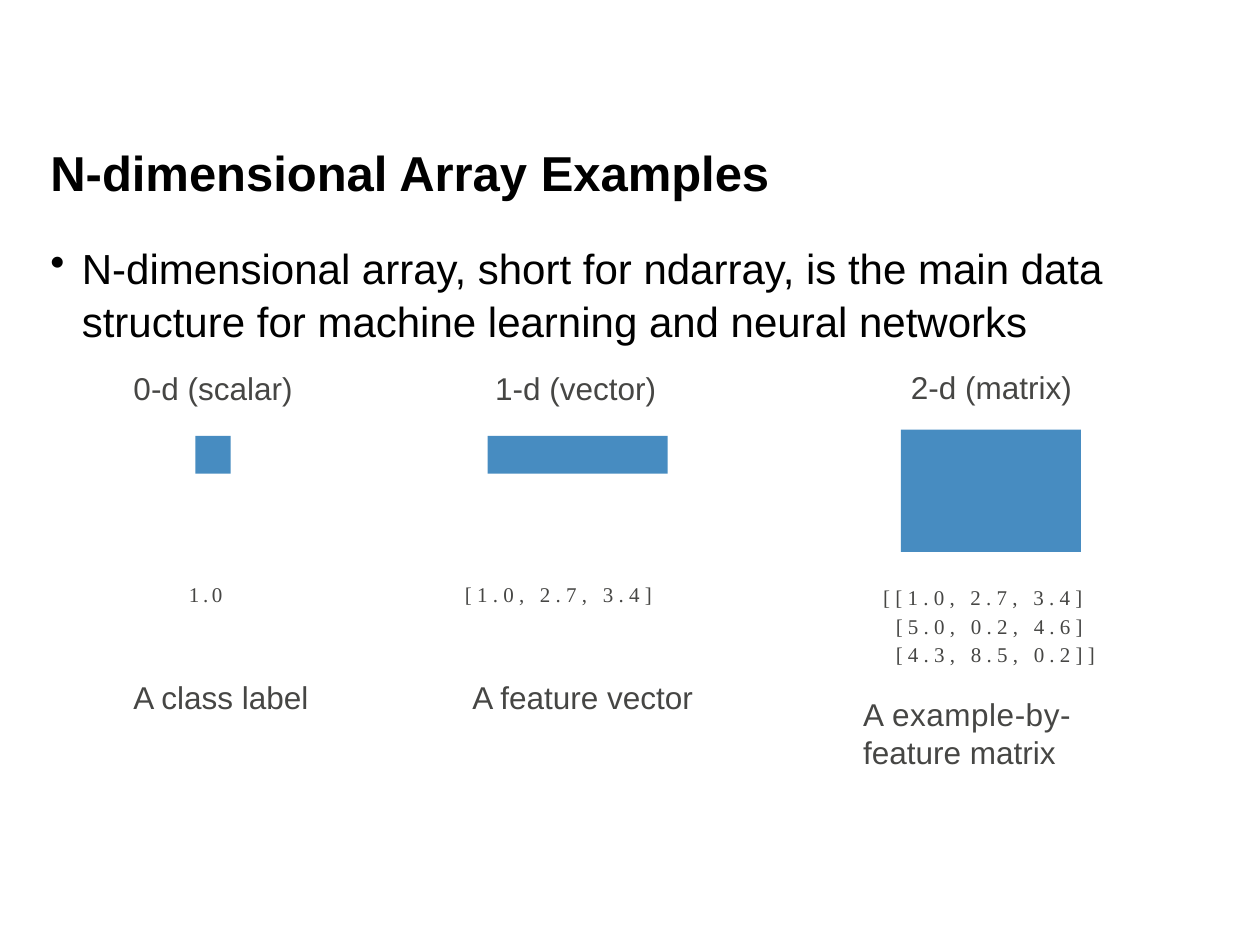
from pptx import Presentation
from pptx.dml.color import RGBColor
from pptx.enum.shapes import MSO_SHAPE
from pptx.enum.text import MSO_ANCHOR, MSO_AUTO_SIZE, PP_ALIGN
from pptx.oxml.xmlchemy import OxmlElement
from pptx.util import Inches, Pt

COLORS = {"title": "000000", "label": "464644", "block": "478CC1"}
TITLE = "N-dimensional Array Examples"
BULLET = ("N-dimensional array, short for ndarray, is the main data "
          "structure for machine learning and neural networks")
STYLES = {
    "title": dict(font=dict(name="Arial", size=Pt(28), bold=True), color="title", spacing=1.06),
    "bullet": dict(font=dict(name="Arial", size=Pt(24)), color="title", spacing=1.06),
    "label": dict(font=dict(name="Arial", size=Pt(18)), color="label", spacing=1.06),
    "caption": dict(font=dict(name="Arial", size=Pt(18)), color="label", spacing=1.0),
    "code": dict(font=dict(name="Times New Roman", size=Pt(12)), color="label", spacing=1.14),
}
EXAMPLES = [
    {"block": (1.55, 3.46, 0.28, 0.3),
     "texts": [("label", 1.06, 2.91, [("0-d (scalar)", 0)]),
               ("code", 1.5, 4.59, [("1.0", 2.1)]),
               ("caption", 1.06, 5.38, [("A class label", 0)])]},
    {"block": (3.87, 3.46, 1.43, 0.3),
     "texts": [("label", 3.93, 2.91, [("1-d (vector)", 0)]),
               ("code", 3.69, 4.59, [("[1.0, 2.7, 3.4]", 3)]),
               ("caption", 3.75, 5.38, [("A feature vector", 0)])]},
    {"block": (7.15, 3.41, 1.43, 0.97),
     "texts": [("label", 7.23, 2.9, [("2-d (matrix)", 0)]),
               ("code", 7.01, 4.61, [("[[1.0, 2.7, 3.4]", 3), ("[5.0, 0.2, 4.6]", 3),
                                     ("[4.3, 8.5, 0.2]]", 3)]),
               ("caption", 6.85, 5.52, [("A example-by-", 0.3), ("feature matrix", 0)])]},
]
HANGING = {"code": 0.1, "bullet": 0.25}


def write(shape, style, lines):
    """Fill a text shape with lines of (text, letter spacing) in a named style."""
    tf = shape.text_frame
    frame = dict(word_wrap=True, auto_size=MSO_AUTO_SIZE.NONE, vertical_anchor=MSO_ANCHOR.TOP,
                 margin_left=0, margin_right=0, margin_top=0, margin_bottom=0)
    for key, value in frame.items():
        setattr(tf, key, value)
    p = tf.paragraphs[0]
    p.alignment = PP_ALIGN.LEFT
    p.line_spacing = STYLES[style]["spacing"]
    pPr = p._p.get_or_add_pPr()
    if style in HANGING:
        pPr.set("marL", str(Inches(HANGING[style])))
        pPr.set("indent", str(-Inches(HANGING[style])))
    if style == "bullet":
        bullet = OxmlElement("a:buChar")
        bullet.set("char", "•")
        pPr.append(bullet)
    for i, (text, spacing) in enumerate(lines):
        if i:
            p.add_line_break()
        r = p.add_run()
        r.text = text
        for key, value in STYLES[style]["font"].items():
            setattr(r.font, key, value)
        r.font.color.rgb = RGBColor.from_string(COLORS[STYLES[style]["color"]])
        if spacing:
            r._r.get_or_add_rPr().set("spc", str(round(spacing * 100)))


def add_text(slide, style, box, lines):
    """Add a text box at box and write lines into it."""
    write(slide.shapes.add_textbox(*map(Inches, box)), style, lines)


def add_block(slide, box):
    """Add a plain filled rectangle."""
    s = slide.shapes.add_shape(MSO_SHAPE.RECTANGLE, *map(Inches, box))
    s.shadow.inherit = False
    s.fill.solid()
    s.fill.fore_color.rgb = RGBColor.from_string(COLORS["block"])
    s.line.fill.background()


def main():
    """Build and save the slide."""
    prs = Presentation()
    prs.slide_width, prs.slide_height = Inches(10), Inches(7.5)
    slide = prs.slides.add_slide(prs.slide_layouts[5])
    title = slide.shapes.title
    title.left, title.top, title.width, title.height = map(Inches, (0.4, 1.1, 8.6, 0.5))
    write(title, "title", [(TITLE, 0)])
    add_text(slide, "bullet", (0.4, 1.9, 8.6, 0.85), [(BULLET, 0)])
    for example in EXAMPLES:
        add_block(slide, example["block"])
        for style, left, top, lines in example["texts"]:
            add_text(slide, style, (left, top, 2.1, 0.3 * len(lines)), lines)
    prs.save("out.pptx")


if __name__ == "__main__":
    main()
